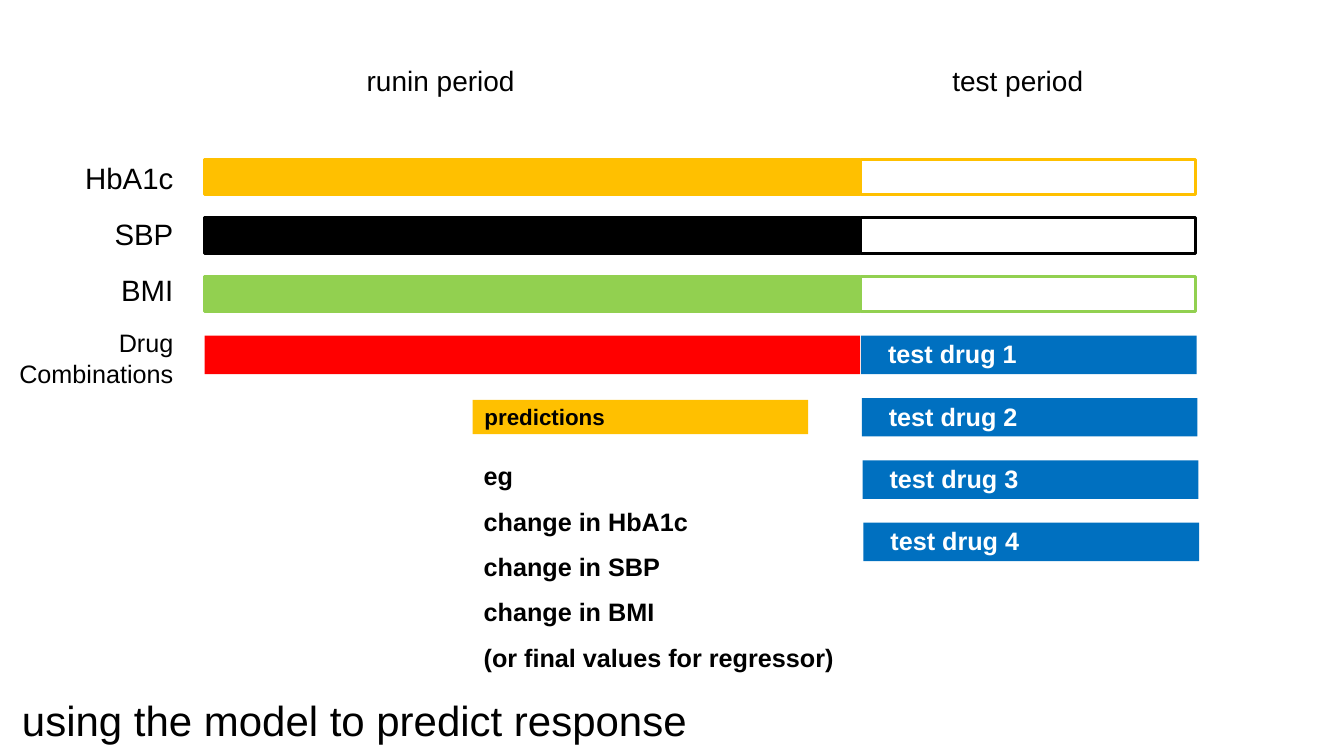
from pptx import Presentation
from pptx.dml.color import RGBColor
from pptx.enum.shapes import MSO_SHAPE
from pptx.enum.text import MSO_ANCHOR, MSO_AUTO_SIZE, PP_ALIGN
from pptx.util import Cm, Pt

RECTANGLE = MSO_SHAPE.RECTANGLE
LEFT, RIGHT = PP_ALIGN.LEFT, PP_ALIGN.RIGHT
TOP = MSO_ANCHOR.TOP
NO_AUTOFIT = MSO_AUTO_SIZE.NONE

BLACK = RGBColor(0x00, 0x00, 0x00)
WHITE = RGBColor(0xFF, 0xFF, 0xFF)
AMBER = RGBColor(0xFF, 0xC0, 0x00)
GREEN = RGBColor(0x92, 0xD0, 0x50)
RED = RGBColor(0xFF, 0x00, 0x00)
BLUE = RGBColor(0x00, 0x70, 0xC0)

FONT = "Arial"
LABEL_WIDTH = 4.62     # row labels end here, in cm
RUNIN_LEFT = 5.16      # offset of the run-in bars
RUNIN_WIDTH = 16.52
TEST_LEFT = 21.7       # offset of the test bars


def place(shape, box):
    for name, value in zip(("left", "top", "width", "height"), box):
        setattr(shape, name, Cm(value))


def write(shape, lines, size, color=BLACK, bold=False, align=LEFT,
          spacing=1.0, wrap=True):
    frame = shape.text_frame
    frame.text = "\n".join(lines)
    frame.word_wrap = wrap
    frame.auto_size = NO_AUTOFIT
    frame.vertical_anchor = TOP
    para_format = {"alignment": align, "line_spacing": spacing}
    font_format = {"name": FONT, "size": Pt(size), "bold": bold}
    for para in frame.paragraphs:
        for name, value in para_format.items():
            setattr(para, name, value)
        for span in para.runs:
            for name, value in font_format.items():
                setattr(span.font, name, value)
            span.font.color.rgb = color


def add_text(page, box, lines, size, **style):
    shape = page.shapes.add_textbox(*(Cm(value) for value in box))
    write(shape, lines, size, **style)


def add_bar(page, box, fill=None, line=None):
    bar = page.shapes.add_shape(RECTANGLE, *(Cm(value) for value in box))
    bar.shadow.inherit = False
    if fill is None:
        bar.fill.background()
    else:
        bar.fill.solid()
        bar.fill.fore_color.rgb = fill
    if line is None:
        bar.line.fill.background()
    else:
        bar.line.color.rgb = line
        bar.line.width = Pt(2)


def add_title(page, box):
    title = page.shapes.title
    place(title, box)
    write(title, ["using the model to predict response"], 30)


def add_headings(page, box):
    left, top, _, height = box
    for text, offset, width in (("runin period", 8.99, 4.27),
                                ("test period", 23.75, 3.84)):
        add_text(page, (left + offset, top, width, height), [text], 20,
                 wrap=False)


def add_measures(page, box):
    """Filled run-in bar and outlined test bar for each measure."""
    left, top, width, height = box
    pitch = height / 3
    measures = (("HbA1c", AMBER), ("SBP", BLACK), ("BMI", GREEN))
    for row, (name, color) in enumerate(measures):
        y = top + row * pitch
        add_text(page, (left, top - 0.1 + row * 1.41, LABEL_WIDTH, 1.14),
                 [name], 21, align=RIGHT)
        add_bar(page, (left + RUNIN_LEFT, y, RUNIN_WIDTH, 0.89), color, color)
        add_bar(page, (left + TEST_LEFT, y, width - TEST_LEFT, 0.89),
                line=color)


def add_drugs(page, box):
    """Drug history bar, followed by the alternative test drugs."""
    left, top, width, height = box
    add_text(page, (left, top - 0.33, LABEL_WIDTH, 1.8),
             ["Drug Combinations"], 18, align=RIGHT)
    add_bar(page, (left + RUNIN_LEFT, top, RUNIN_WIDTH, 0.97), RED)
    pitch = height / 4
    for row in range(4):
        x = left + TEST_LEFT + row * 0.02
        y = top + row * pitch
        add_bar(page, (x, y, width - TEST_LEFT, 0.97), BLUE)
        add_text(page, (x + 0.43, y - 0.05, 3.78, 1.02),
                 [f"test drug {row + 1}"], 18, color=WHITE, bold=True,
                 wrap=False)


def add_predictions(page, box):
    left, top, width, height = box
    add_bar(page, (left, top, 8.46, 0.86), AMBER)
    add_text(page, (left + 0.05, top - 0.05, 8.43, 0.94),
             ["predictions"], 16, bold=True)
    examples = ["eg", "change in HbA1c", "change in SBP", "change in BMI",
                "(or final values for regressor)"]
    add_text(page, (left + 0.03, top + 1.02, width, height - 1.02),
             examples, 18, bold=True, spacing=1.5, wrap=False)


def main():
    deck = Presentation()
    deck.slide_width, deck.slide_height = Cm(33.87), Cm(19.05)
    page = deck.slides.add_slide(deck.slide_layouts[5])

    # Timeline
    add_headings(page, (0, 1.47, 33.87, 1.12))
    add_measures(page, (0, 4.01, 30.12, 4.44))
    add_drugs(page, (0, 8.46, 30.16, 6.28))

    # Model output
    add_predictions(page, (11.91, 10.08, 9.42, 6.91))

    # Title along the bottom
    add_title(page, (0.3, 17.37, 21.44, 1.55))

    deck.save("out.pptx")


if __name__ == "__main__":
    main()
